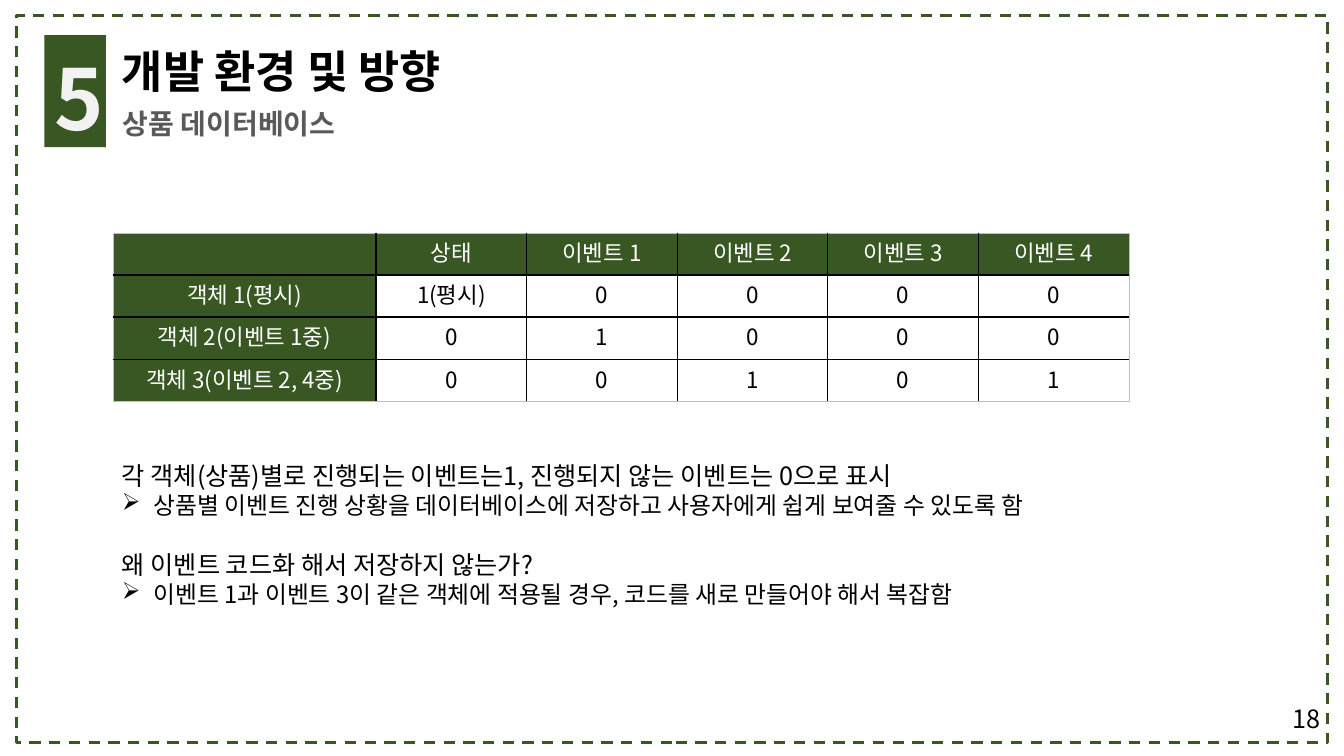
from dataclasses import dataclass
from lxml.etree import SubElement
from pptx import Presentation
from pptx.dml.color import RGBColor
from pptx.enum.dml import MSO_LINE as Dash
from pptx.enum.shapes import MSO_SHAPE as Shape
from pptx.enum.text import MSO_ANCHOR as Anchor, PP_ALIGN as Align
from pptx.oxml.ns import qn
from pptx.util import Pt

NUMBER, TITLE, TOPIC, PAGE = "5", "개발 환경 및 방향", "상품 데이터베이스", "18"

GRID = [
    ["", "상태", "이벤트 1", "이벤트 2", "이벤트 3", "이벤트 4"],
    ["객체 1(평시)", "1(평시)", "0", "0", "0", "0"],
    ["객체 2(이벤트 1중)", "0", "1", "0", "0", "0"],
    ["객체 3(이벤트 2, 4중)", "0", "0", "1", "0", "1"],
]

NOTES = [
    ("각 객체(상품)별로 진행되는 이벤트는1, 진행되지 않는 이벤트는 0으로 표시",
     "상품별 이벤트 진행 상황을 데이터베이스에 저장하고 사용자에게 쉽게 보여줄 수 있도록 함"),
    ("왜 이벤트 코드화 해서 저장하지 않는가?",
     "이벤트 1과 이벤트 3이 같은 객체에 적용될 경우, 코드를 새로 만들어야 해서 복잡함"),
]


@dataclass(frozen=True)
class Theme:
    font: str = "Noto Sans CJK KR"
    green: str = "385723"
    black: str = "000000"
    white: str = "FFFFFF"
    pale: str = "F2F2F2"
    gray: str = "595959"
    edge: str = "BFBFBF"
    number: float = 60
    title: float = 32
    topic: float = 20
    body: float = 18
    point: float = 17
    cell: float = 16
    lead: float = 1.2


T = Theme()
PAD = 3.6
HEAD_W, COL_W, ROW_H = 188, 107.6, 30.1
INDENT = 22.5


def rgb(code):
    return RGBColor.from_string(code)


def inset(size):
    """Top margin that keeps glyphs centred in a tight line."""
    return Pt(round(PAD + 0.07 * size, 2))


def write(para, text, size, color, bold=False, align=Align.LEFT):
    para.alignment = align
    para.line_spacing = Pt(round(size * T.lead, 2))
    run = para.add_run()
    run.text = text
    font = run.font
    font.size, font.bold, font.name = Pt(size), bold, T.font
    font.color.rgb = rgb(color)
    SubElement(font._element, qn("a:ea"), typeface=T.font)


def prep(frame, size, anchor=Anchor.TOP):
    frame.word_wrap = True
    frame.margin_top = inset(size)
    frame.vertical_anchor = anchor
    return frame.paragraphs[0]


def label(slide, box, text, size, color, bold=False, align=Align.LEFT,
          anchor=Anchor.TOP):
    frame = slide.shapes.add_textbox(*map(Pt, box)).text_frame
    write(prep(frame, size, anchor), text, size, color, bold, align)


def block(slide, box):
    shape = slide.shapes.add_shape(Shape.RECTANGLE, *map(Pt, box))
    shape.shadow.inherit = False
    return shape


def bullet(para):
    props = para._p.get_or_add_pPr()
    props.set("marL", str(Pt(INDENT)))
    props.set("indent", str(-Pt(INDENT)))
    SubElement(props, qn("a:buChar"), char="➢")


def border(cell, side, color, width):
    line = SubElement(cell._tc.get_or_add_tcPr(), qn("a:ln" + side),
                      w=str(Pt(width)))
    fill = SubElement(line, qn("a:solidFill"))
    SubElement(fill, qn("a:srgbClr"), val=color)


def rule(place, count):
    """Colour and width of the grid line at this place."""
    if place in (0, count):
        return T.edge, 0.5
    return T.black, 2 if place == 1 else 1


def add_grid(slide, left, top):
    rows, cols = len(GRID), len(GRID[0])
    width = HEAD_W + COL_W * (cols - 1)
    table = slide.shapes.add_table(
        rows, cols, Pt(left), Pt(top), Pt(width), Pt(ROW_H * rows)).table
    for c, col in enumerate(table.columns):
        col.width = Pt(COL_W if c else HEAD_W)
    for r, texts in enumerate(GRID):
        table.rows[r].height = Pt(ROW_H)
        for c, text in enumerate(texts):
            cell = table.cell(r, c)
            for side, place, count in (("L", c, cols), ("R", c + 1, cols),
                                       ("T", r, rows), ("B", r + 1, rows)):
                border(cell, side, *rule(place, count))
            head = r == 0 or c == 0
            cell.fill.solid()
            cell.fill.fore_color.rgb = rgb(T.green if head else T.white)
            cell.vertical_anchor = Anchor.MIDDLE
            cell.margin_top = inset(T.cell)
            write(cell.text_frame.paragraphs[0], text, T.cell,
                  T.white if head else T.black, align=Align.CENTER)


def add_notes(slide, box):
    frame = slide.shapes.add_textbox(*map(Pt, box)).text_frame
    para = prep(frame, T.body)
    for i, (lead, point) in enumerate(NOTES):
        if i:
            para = frame.add_paragraph()
            para.space_before = Pt(T.body * T.lead)
        write(para, lead, T.body, T.black)
        para = frame.add_paragraph()
        bullet(para)
        write(para, point, T.point, T.black)


def main():
    deck = Presentation()
    deck.slide_width, deck.slide_height = Pt(960), Pt(540)
    slide = deck.slides.add_slide(deck.slide_layouts[6])

    badge = block(slide, (31.7, 25.2, 43.9, 80))
    badge.fill.solid()
    badge.fill.fore_color.rgb = rgb(T.green)
    badge.line.fill.background()
    write(prep(badge.text_frame, T.number), NUMBER, T.number, T.pale, True,
          Align.CENTER)

    label(slide, (80, 25.2, 275, 46), TITLE, T.title, T.black, True)

    frame = block(slide, (11.5, 10.8, 936.7, 519.8))
    frame.fill.background()
    frame.line.color.rgb = rgb(T.green)
    frame.line.width = Pt(2)
    frame.line.dash_style = Dash.DASH

    label(slide, (80.6, 71.3, 301, 31.7), TOPIC, T.topic, T.gray, True)
    label(slide, (907.2, 484.6, 52.6, 55.4), PAGE, T.body, T.black,
          align=Align.CENTER, anchor=Anchor.MIDDLE)
    add_grid(slide, 80.6, 166.3)
    add_notes(slide, (80, 324, 733.7, 113.8))
    deck.save("out.pptx")


if __name__ == "__main__":
    main()
